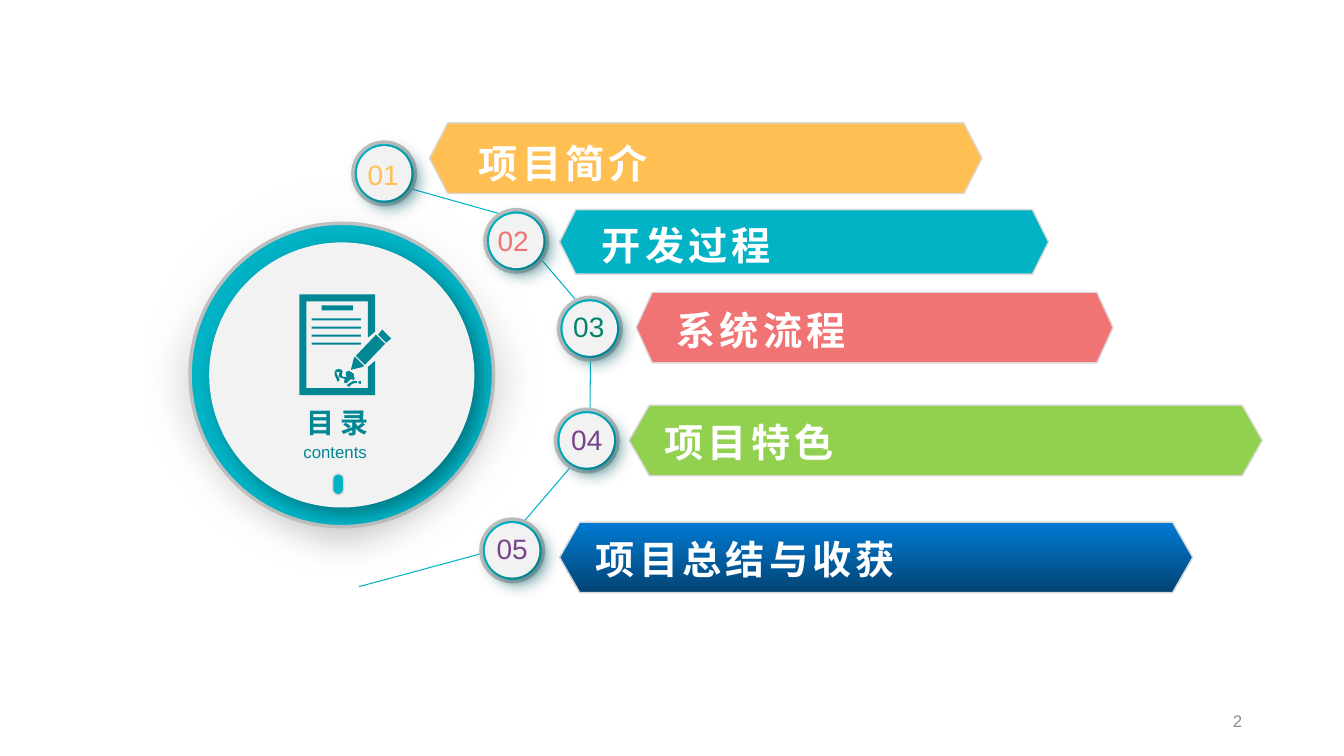
import pptx
import pptx.util
import pptx.dml.color
import pptx.enum.shapes
import pptx.enum.text
import lxml.etree

Inches, Pt = pptx.util.Inches, pptx.util.Pt
RGBColor = pptx.dml.color.RGBColor
SHAPES = pptx.enum.shapes.MSO_SHAPE
ALIGN = pptx.enum.text.PP_ALIGN
ANCHOR = pptx.enum.text.MSO_ANCHOR
AUTO_SIZE = pptx.enum.text.MSO_AUTO_SIZE

WHITE = RGBColor(0xFF, 0xFF, 0xFF)
PALE = RGBColor(0xF2, 0xF2, 0xF2)
SILVER = RGBColor(0xBF, 0xBF, 0xBF)
EDGE = RGBColor(0xD9, 0xD9, 0xD9)
GRAY = RGBColor(0x8C, 0x8C, 0x8C)
TEAL = RGBColor(0x01, 0xB3, 0xC5)
DARK_TEAL = RGBColor(0x01, 0x86, 0x94)
AMBER = RGBColor(0xFF, 0xBF, 0x53)
CORAL = RGBColor(0xF1, 0x74, 0x75)
LIME = RGBColor(0x92, 0xD0, 0x50)
GREEN = RGBColor(0x00, 0x83, 0x6D)
PURPLE = RGBColor(0x77, 0x44, 0x8C)
BLUE = RGBColor(0x00, 0x7B, 0xD3)
NAVY = RGBColor(0x03, 0x43, 0x73)
SHADOW = RGBColor(0x00, 0x59, 0x62)
SILVER_FADE = [WHITE, SILVER]


class ContentsSlide:
    font_name = "Arial"
    namespace = "http://schemas.openxmlformats.org/drawingml/2006/main"

    def __init__(self, slide):
        self.slide = slide

    def style(self, shape, fill=None, line=None, width=1):
        shape.shadow.inherit = False
        if fill is None:
            shape.fill.background()
        elif isinstance(fill, list):
            shape.fill.gradient()
            shape.fill.gradient_angle = 270
            for stop, color in zip(shape.fill.gradient_stops, fill):
                stop.color.rgb = color
        else:
            shape.fill.solid()
            shape.fill.fore_color.rgb = fill
        if line is None:
            shape.line.fill.background()
        else:
            shape.line.color.rgb = line
            shape.line.width = Pt(width)

    def effect(self, shape, name, **attributes):
        effects = shape._element.spPr.find(f"{{{self.namespace}}}effectLst")
        return self.child(effects, name, **attributes)

    def child(self, parent, name, **attributes):
        values = {key: str(value) for key, value in attributes.items()}
        return lxml.etree.SubElement(parent, f"{{{self.namespace}}}{name}", values)

    def circle(self, center, diameter, fill, line=None, soft=0, shadow=False):
        left, top = (value - diameter / 2 for value in center)
        shape = self.slide.shapes.add_shape(
            SHAPES.OVAL, Inches(left), Inches(top), Inches(diameter), Inches(diameter))
        self.style(shape, fill, line, 2.5)
        if soft:
            self.effect(shape, "softEdge", rad=Inches(soft))
        if shadow:
            outer = self.effect(shape, "outerShdw", blurRad=Pt(12), dist=Pt(6),
                                dir=45 * 60000, algn="tl", rotWithShape=0)
            self.child(self.child(outer, "srgbClr", val=SHADOW), "alpha", val=64000)

    def outline(self, contours, fill=None, line=None, width=1, close=True):
        """Draw contours whose points are in hundredths of an inch."""
        first, *others = contours
        builder = self.slide.shapes.build_freeform(*first[0], scale=Inches(0.01))
        builder.add_line_segments(first[1:], close=close)
        for contour in others:
            builder.move_to(*contour[0])
            builder.add_line_segments(contour[1:], close=close)
        self.style(builder.convert_to_shape(), fill, line, width)

    def text(self, words, box, size, color, bold=False, spacing=0, align=ALIGN.LEFT,
             inset=True, wrap=True, anchor=ANCHOR.TOP, grow=True):
        frame = self.slide.shapes.add_textbox(*map(Inches, box)).text_frame
        frame.word_wrap = wrap
        frame.vertical_anchor = anchor
        frame.auto_size = AUTO_SIZE.SHAPE_TO_FIT_TEXT if grow else AUTO_SIZE.NONE
        if not inset:
            frame.margin_left = frame.margin_right = 0
            frame.margin_top = frame.margin_bottom = 0
        paragraph = frame.paragraphs[0]
        paragraph.text = words
        paragraph.alignment = align
        font = paragraph.font
        font.name, font.size, font.bold = self.font_name, Pt(size), bold
        font.color.rgb = color
        if spacing:
            for run in paragraph.runs:
                run._r.get_or_add_rPr().set("spc", str(spacing * 100))

    def banner(self, words, box, notch, fill, text_left, text_top, text_width):
        left, top, width, height = (value * 100 for value in box)
        right, bottom, middle = left + width, top + height, top + height / 2
        inset = notch * 100
        self.outline([[(left + inset, bottom), (left, middle), (left + inset, top),
                       (right - inset, top), (right, middle), (right - inset, bottom)]],
                     fill, EDGE)
        self.text(words, (text_left, text_top, text_width, 0.47), 28, WHITE, bold=True,
                  spacing=3, inset=False, wrap=False)

    def badge(self, number, center, color, text_center, text_top):
        self.circle(center, 0.82, SILVER_FADE, soft=0.1)
        self.circle(center, 0.62, TEAL, SILVER)
        self.circle(center, 0.54, PALE, shadow=True)
        self.text(number, (text_center - 0.39, text_top, 0.78, 0.44), 20, color,
                  align=ALIGN.CENTER)


def rectangle(left, top, right, bottom):
    return [(left, top), (left, bottom), (right, bottom), (right, top)]


# Document icon, in hundredths of an inch
SIGNATURE = [
    (342, 380), (344, 380), (348, 376), (351, 377), (352, 375), (351, 374), (351, 371),
    (348, 369), (346, 368), (343, 369), (343, 372), (344, 374), (341, 374), (339, 373),
    (339, 371), (340, 369), (339, 367), (336, 366), (333, 367), (332, 369), (332, 372),
    (335, 379), (337, 377), (334, 371), (334, 369), (337, 369), (336, 372), (336, 374),
    (339, 375), (342, 376), (341, 379)]
FLOURISH = [(354, 380), (354, 378), (350, 378), (347, 380), (344, 382), (346, 384),
            (349, 381), (352, 380)]
DOT = [(358, 381), (358, 378), (356, 378), (355, 380)]
PAGE = [(365, 364), (365, 385), (304, 385), (304, 299), (365, 299), (365, 335),
        (372, 329), (372, 292), (297, 292), (297, 392), (372, 392), (372, 358)]
PENCIL = [
    [(379, 327), (375, 332), (383, 340), (388, 336)],
    [(353, 353), (362, 362), (382, 341), (373, 332)],
    [(361, 363), (352, 354), (351, 355), (348, 367), (360, 364)]]
TEXT_LINES = [rectangle(309, top, 358, top + 2.5) for top in (316, 323.5, 332, 340)]
ICON = [SIGNATURE, FLOURISH, DOT, PAGE, rectangle(319, 303, 350, 308),
        *TEXT_LINES, *PENCIL]

# Words, box, notch, fill, text left, text top, text width
BANNERS = [
    ("项目简介", (4.26, 1.22, 5.48, 0.7), 0.18, AMBER, 4.75, 1.38, 1.72),
    ("开发过程", (5.55, 2.08, 4.85, 0.64), 0.16, TEAL, 5.97, 2.2, 1.76),
    ("系统流程", (6.31, 2.9, 4.73, 0.7), 0.16, CORAL, 6.71, 3.04, 1.72),
    ("项目特色", (6.24, 4.02, 6.28, 0.7), 0.2, LIME, 6.59, 4.15, 1.72),
    ("项目总结与收获", (5.55, 5.18, 6.28, 0.7), 0.2, [BLUE, NAVY], 5.91, 5.31, 3.01),
]
# Number, center, color, text center, text top
BADGES = [
    ("01", (3.81, 1.72), AMBER, 3.8, 1.51),
    ("02", (5.12, 2.39), CORAL, 5.09, 2.17),
    ("03", (5.85, 3.26), GREEN, 5.84, 3.02),
    ("04", (5.82, 4.37), PURPLE, 5.82, 4.14),
    ("05", (5.08, 5.46), PURPLE, 5.08, 5.22),
]
TRAIL = [(357, 173), (499, 213), (586, 315), (585, 441), (497, 544), (356, 582)]
HUB = (3.39, 3.72)


def main():
    presentation = pptx.Presentation()
    presentation.slide_width = Inches(13.33)
    presentation.slide_height = Inches(7.5)
    slide = presentation.slides.add_slide(presentation.slide_layouts[6])
    contents = ContentsSlide(slide)

    # Trail and outer hub
    contents.outline([TRAIL], line=TEAL, width=0.75, close=False)
    contents.circle(HUB, 4.04, SILVER_FADE, soft=0.35)
    contents.circle(HUB, 3.01, TEAL, SILVER)

    # Banners and numbered badges
    for banner in BANNERS:
        contents.banner(*banner)
    for badge in BADGES:
        contents.badge(*badge)

    # Inner hub with icon and caption
    contents.circle(HUB, 2.63, PALE, shadow=True)
    pill = slide.shapes.add_shape(SHAPES.ROUNDED_RECTANGLE, Inches(3.3), Inches(4.7),
                                  Inches(0.11), Inches(0.21))
    pill.adjustments[0] = 0.5
    contents.style(pill, TEAL, EDGE)
    contents.outline(ICON, DARK_TEAL)
    contents.text("目 录", (3.03, 4.02, 0.64, 0.34), 20, DARK_TEAL, bold=True,
                  align=ALIGN.CENTER, inset=False, wrap=False)
    contents.text("contents", (3.01, 4.38, 0.63, 0.2), 12, DARK_TEAL,
                  inset=False, wrap=False)

    # Slide number
    contents.text("2", (9.42, 6.95, 3, 0.4), 12, GRAY, align=ALIGN.RIGHT,
                  anchor=ANCHOR.MIDDLE, grow=False)

    presentation.save("out.pptx")


if __name__ == "__main__":
    main()
